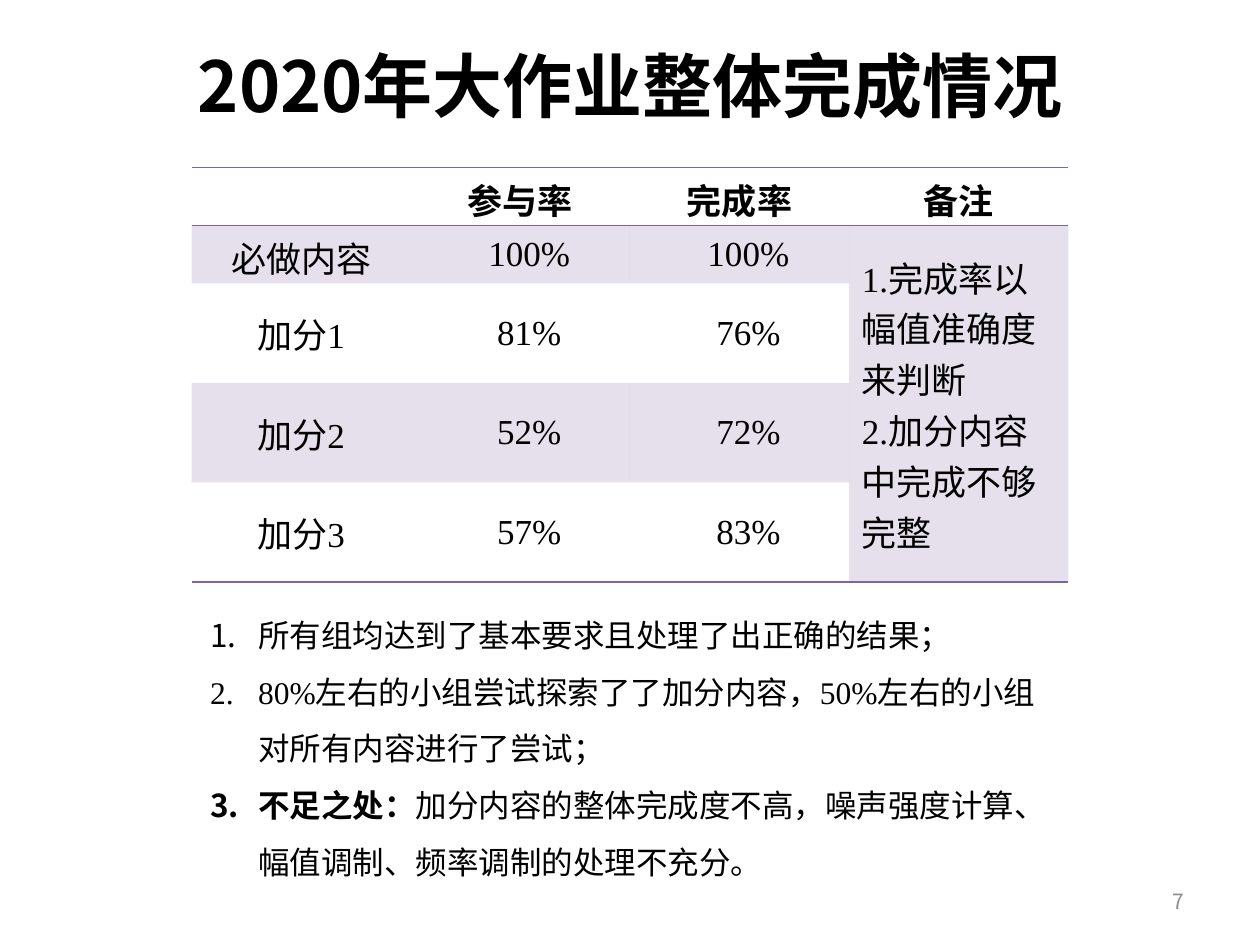
from lxml import etree
from pptx import Presentation
from pptx.dml.color import RGBColor
from pptx.enum import text
from pptx.oxml import ns
from pptx.util import Inches, Pt

BLACK = RGBColor(0x00, 0x00, 0x00)
GRAY = RGBColor(0x8C, 0x8C, 0x8C)
PURPLE = RGBColor(0x80, 0x64, 0xA2)
SANS = "Noto Sans CJK SC"
SERIF = "Times New Roman"
NO_STYLE = "{2D5ABB26-0587-4C30-8999-92F81FD0307C}"
CENTER = text.PP_ALIGN.CENTER

HEADERS = ["", "参与率", "完成率", "备注"]
RATES = [
    ("必做内容", "100%", "100%"),
    ("加分1", "81%", "76%"),
    ("加分2", "52%", "72%"),
    ("加分3", "57%", "83%"),
]
REMARKS = ["1.完成率以幅值准确度来判断", "2.加分内容中完成不够完整"]
FINDINGS = [
    [("所有组均达到了基本要求且处理了出正确的结果；", False)],
    [("80%左右的小组尝试探索了了加分内容，50%左右的小组对所有内容进行了尝试；", False)],
    [("不足之处：", True),
     ("加分内容的整体完成度不高，噪声强度计算、幅值调制、频率调制的处理不充分。", False)],
]


def sub(parent, tag, **attrs):
    return etree.SubElement(parent, ns.qn(tag), **attrs)


def add_run(p, content, size, font=SERIF, color=BLACK, bold=False):
    r = p.add_run()
    r.text = content
    r.font.size = Pt(size)
    r.font.name = font
    r.font.bold = bold
    r.font.color.rgb = color
    sub(r.font._element, "a:ea", typeface=SANS)


def add_text_box(s, left, top, width, height, anchor=text.MSO_ANCHOR.TOP):
    sp = s.shapes.add_textbox(Inches(left), Inches(top), Inches(width), Inches(height))
    tf = sp.text_frame
    tf.word_wrap = True
    tf.vertical_anchor = anchor
    return tf


def add_line_of_text(tf, content, size, align, color=BLACK, bold=False):
    p = tf.paragraphs[0]
    p.alignment = align
    add_run(p, content, size, SANS, color, bold)


def set_indent(p, margin, first):
    pPr = p._p.get_or_add_pPr()
    pPr.set("marL", str(Inches(margin)))
    pPr.set("indent", str(Inches(first)))
    return pPr


def style_cell(cell, sides, tinted):
    """Draw the purple rules on the given sides, then a 20 % tint or no fill."""
    cell.vertical_anchor = text.MSO_ANCHOR.MIDDLE
    tcPr = cell._tc.get_or_add_tcPr()
    for side in sides:
        ln = sub(tcPr, f"a:ln{side}", w=str(Pt(1)))
        sub(sub(ln, "a:solidFill"), "a:srgbClr", val=str(PURPLE))
    if tinted:
        cell.fill.solid()
        cell.fill.fore_color.rgb = PURPLE
        sub(tcPr.find(".//" + ns.qn("a:solidFill") + "[last()]/" + ns.qn("a:srgbClr"))
            if not sides else tcPr.find(ns.qn("a:solidFill"))[0],
            "a:alpha", val="20000")
    else:
        cell.fill.background()


def write_rate(cell, rate):
    cell.margin_left = cell.margin_right = Inches(0.07)
    cell.margin_top = cell.margin_bottom = 0
    p = cell.text_frame.paragraphs[0]
    p.alignment = CENTER
    set_indent(p, 0, 0.14)
    add_run(p, rate, 20)


def write_label(cell, label, bold=False):
    p = cell.text_frame.paragraphs[0]
    p.alignment = CENTER
    if label:
        add_run(p, label, 20, bold=bold)


def add_rate_table(s):
    heights = [0.46, 0.46, 0.79, 0.79, 0.79]
    frame = s.shapes.add_table(len(heights), len(HEADERS), Inches(1.52), Inches(1.33),
                               Inches(6.96), Inches(sum(heights)))
    table = frame.table
    table.first_row = table.horz_banding = False
    table._tbl.tblPr.find(ns.qn("a:tableStyleId")).text = NO_STYLE
    for column in table.columns:
        column.width = Inches(1.74)
    for row, height in zip(table.rows, heights):
        row.height = Inches(height)

    last_row, last_col = len(heights) - 1, len(HEADERS) - 1
    remark = table.cell(1, last_col)
    remark.merge(table.cell(last_row, last_col))
    for i in range(len(heights)):
        for j in range(len(HEADERS)):
            is_remark = i > 0 and j == last_col
            sides = "TB" if i == 0 else "B" if i == last_row or is_remark else ""
            style_cell(table.cell(i, j), sides, i % 2 == 1 or is_remark)

    for j, header in enumerate(HEADERS):
        write_label(table.cell(0, j), header, bold=True)
    for i, (label, *rates) in enumerate(RATES, 1):
        write_label(table.cell(i, 0), label)
        for j, rate in enumerate(rates, 1):
            write_rate(table.cell(i, j), rate)
    tf = remark.text_frame
    for i, line in enumerate(REMARKS):
        add_run(tf.add_paragraph() if i else tf.paragraphs[0], line, 20)


def add_numbered_list(tf, items):
    for i, runs in enumerate(items):
        p = tf.add_paragraph() if i else tf.paragraphs[0]
        p.line_spacing = 1.5
        sub(set_indent(p, 0.38, -0.38), "a:buAutoNum", type="arabicPeriod")
        for content, bold in runs:
            add_run(p, content, 18, bold=bold)


def main():
    prs = Presentation()
    prs.slide_width, prs.slide_height = Inches(10), Inches(7.5)
    s = prs.slides.add_slide(prs.slide_layouts[6])
    page = add_text_box(s, 7.17, 6.95, 2.33, 0.4, text.MSO_ANCHOR.MIDDLE)
    add_line_of_text(page, "7", 12, text.PP_ALIGN.RIGHT, GRAY)
    title = add_text_box(s, 0.5, 0.29, 9, 1.09)
    add_line_of_text(title, "2020年大作业整体完成情况", 40, CENTER, bold=True)
    add_rate_table(s)
    add_numbered_list(add_text_box(s, 1.57, 4.69, 6.86, 2.32), FINDINGS)
    prs.save("out.pptx")


if __name__ == "__main__":
    main()
